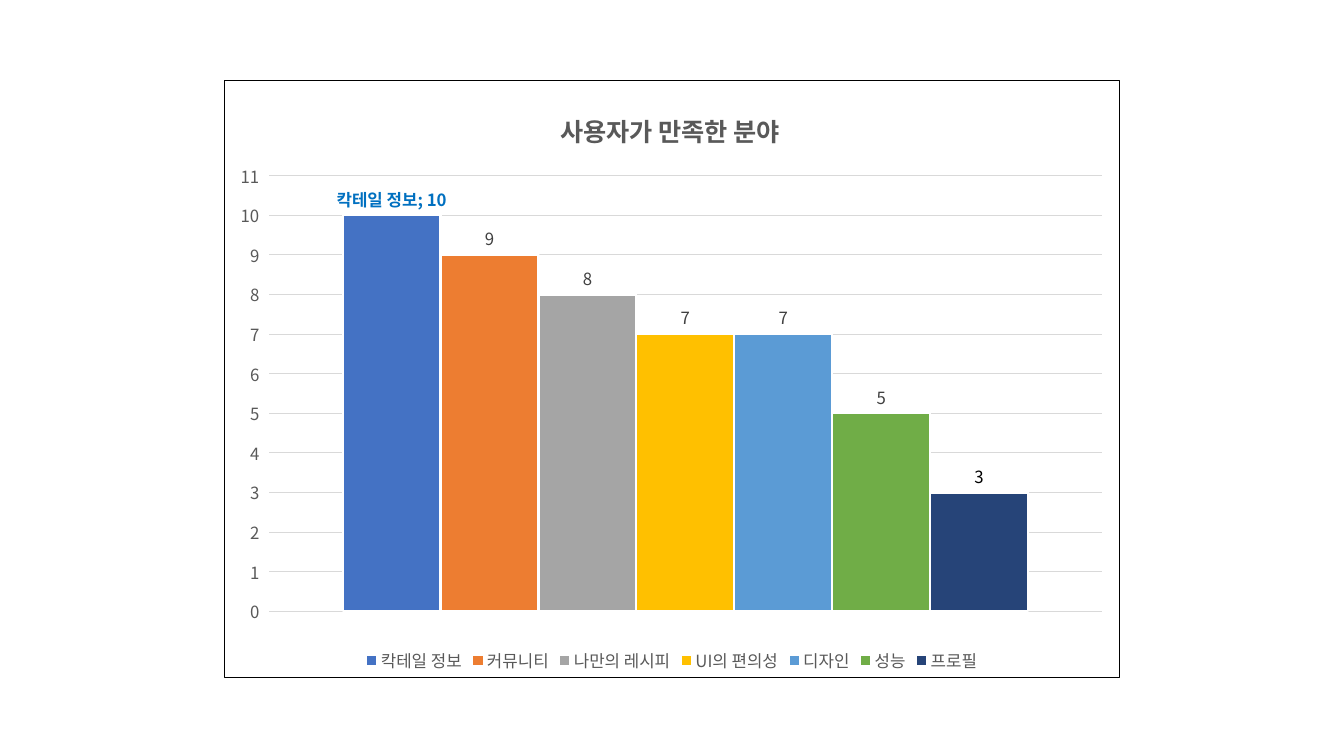
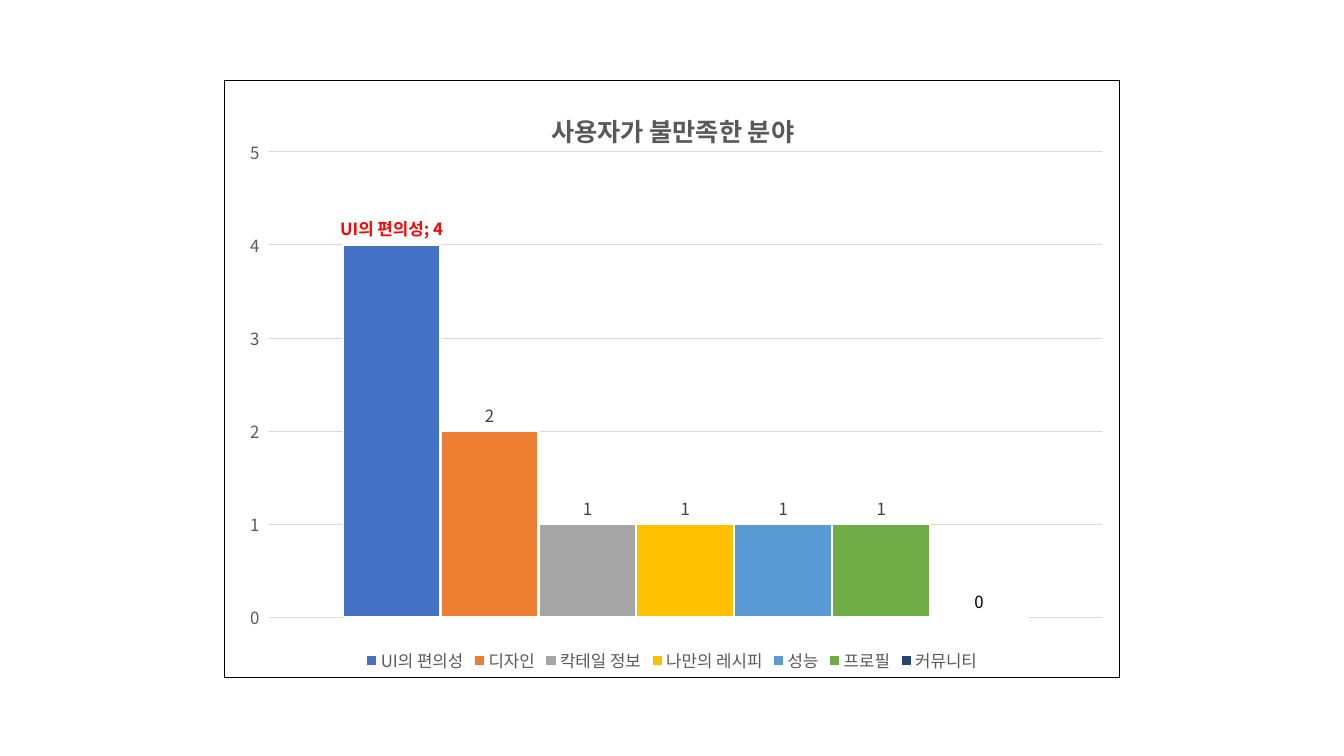
from lxml import etree
from pptx import Presentation
from pptx.chart.data import CategoryChartData
from pptx.dml.color import RGBColor
from pptx.enum.chart import XL_CHART_TYPE, XL_LABEL_POSITION, XL_LEGEND_POSITION
from pptx.oxml import parse_xml
from pptx.oxml.ns import nsdecls, qn
from pptx.util import Pt

COLUMNS = XL_CHART_TYPE.COLUMN_CLUSTERED
OUTSIDE_END = XL_LABEL_POSITION.OUTSIDE_END
BOTTOM = XL_LEGEND_POSITION.BOTTOM

FONT = "Noto Sans CJK KR"
BLACK = RGBColor(0x00, 0x00, 0x00)
WHITE = RGBColor(0xFF, 0xFF, 0xFF)
GRAY = RGBColor(0x59, 0x59, 0x59)
LABEL_GRAY = RGBColor(0x40, 0x40, 0x40)
GRID = RGBColor(0xD9, 0xD9, 0xD9)
BLUE = RGBColor(0x00, 0x70, 0xC0)
RED = RGBColor(0xFF, 0x00, 0x00)
BAR_COLORS = [RGBColor.from_string(c) for c in (
    "4472C4", "ED7D31", "A5A5A5", "FFC000", "5B9BD5", "70AD47", "264478")]

# title, its place, plot area, axis maximum, colour of the first label, values
CHARTS = [
    ("사용자가 만족한 분야", {"x": 0.37, "y": 0.04},
     {"x": 0.05, "y": 0.16, "w": 0.93, "h": 0.73}, 11, BLUE,
     {"칵테일 정보": 10, "커뮤니티": 9, "나만의 레시피": 8, "UI의 편의성": 7,
      "디자인": 7, "성능": 5, "프로필": 3}),
    ("사용자가 불만족한 분야", {"x": 0.36, "y": 0.04},
     {"x": 0.05, "y": 0.12, "w": 0.93, "h": 0.78}, 5, RED,
     {"UI의 편의성": 4, "디자인": 2, "칵테일 정보": 1, "나만의 레시피": 1,
      "성능": 1, "프로필": 1, "커뮤니티": 0}),
]


def style(font, size, color, bold=False):
    font.name, font.size, font.bold = FONT, Pt(size), bold
    font.color.rgb = color


def place(element, index, box):
    """Give a chart part a manual layout in fractions of the chart."""
    for old in element.findall(qn("c:layout")):
        element.remove(old)
    target = '<c:layoutTarget val="inner"/>' if "w" in box else ""
    modes = "".join(f'<c:{k}Mode val="edge"/>' for k in "xy")
    values = "".join(f'<c:{k} val="{v}"/>' for k, v in box.items())
    element.insert(index, parse_xml(
        f'<c:layout {nsdecls("c")}><c:manualLayout>{target}{modes}{values}'
        '</c:manualLayout></c:layout>'))


prs = Presentation()
prs.slide_width, prs.slide_height = Pt(960), Pt(540)

for title, title_box, plot_box, maximum, accent, scores in CHARTS:
    s = prs.slides.add_slide(prs.slide_layouts[6])
    data = CategoryChartData()
    data.categories = ["1"]
    for name, score in scores.items():
        data.add_series(name, [score])
    chart = s.shapes.add_chart(
        COLUMNS, Pt(160), Pt(57), Pt(640), Pt(427), data).chart
    style(chart.font, 10, BLACK)
    chart.element.find(qn("c:txPr")).addprevious(parse_xml(
        f'<c:spPr {nsdecls("c", "a")}>'
        f'<a:solidFill><a:srgbClr val="{WHITE}"/></a:solidFill>'
        f'<a:ln w="{Pt(0.75)}"><a:solidFill><a:srgbClr val="{BLACK}"/>'
        '</a:solidFill></a:ln></c:spPr>'))

    chart.has_title = True
    tf = chart.chart_title.text_frame
    tf.text = title
    style(tf.paragraphs[0].runs[0].font, 18, GRAY, bold=True)
    chart_xml = chart.element.find(qn("c:chart"))
    place(chart_xml.find(qn("c:title")), 1, title_box)
    place(chart_xml.find(qn("c:plotArea")), 0, plot_box)

    chart.has_legend = True
    chart.legend.position = BOTTOM
    chart.legend.include_in_layout = False
    style(chart.legend.font, 12, GRAY)

    chart.category_axis.visible = False
    axis = chart.value_axis
    axis.minimum_scale, axis.maximum_scale, axis.major_unit = 0, maximum, 1
    style(axis.tick_labels.font, 12, GRAY)
    axis.format.line.fill.background()
    grid = axis.major_gridlines.format.line
    grid.color.rgb, grid.width = GRID, Pt(0.75)

    plot = chart.plots[0]
    plot.gap_width, plot.overlap, plot.vary_by_categories = 150, 0, False
    label_colors = [accent] + [LABEL_GRAY] * 5 + [BLACK]
    for i, series in enumerate(plot.series):
        series.format.fill.solid()
        series.format.fill.fore_color.rgb = BAR_COLORS[i]
        series.format.line.color.rgb = WHITE
        series.format.line.width = Pt(1.5)
        labels = series.data_labels
        labels.show_value = True
        labels.show_series_name = i == 0
        labels.position = OUTSIDE_END
        style(labels.font, 12, label_colors[i], bold=i == 0)
        separator = etree.Element(qn("c:separator"))
        separator.text = "; "
        labels._element.find(qn("c:showBubbleSize")).addnext(separator)

    # Korean text takes its typeface from a:ea
    for latin in list(chart.element.iter(qn("a:latin"))):
        latin.addnext(etree.Element(qn("a:ea"), typeface=FONT))

prs.save("out.pptx")
